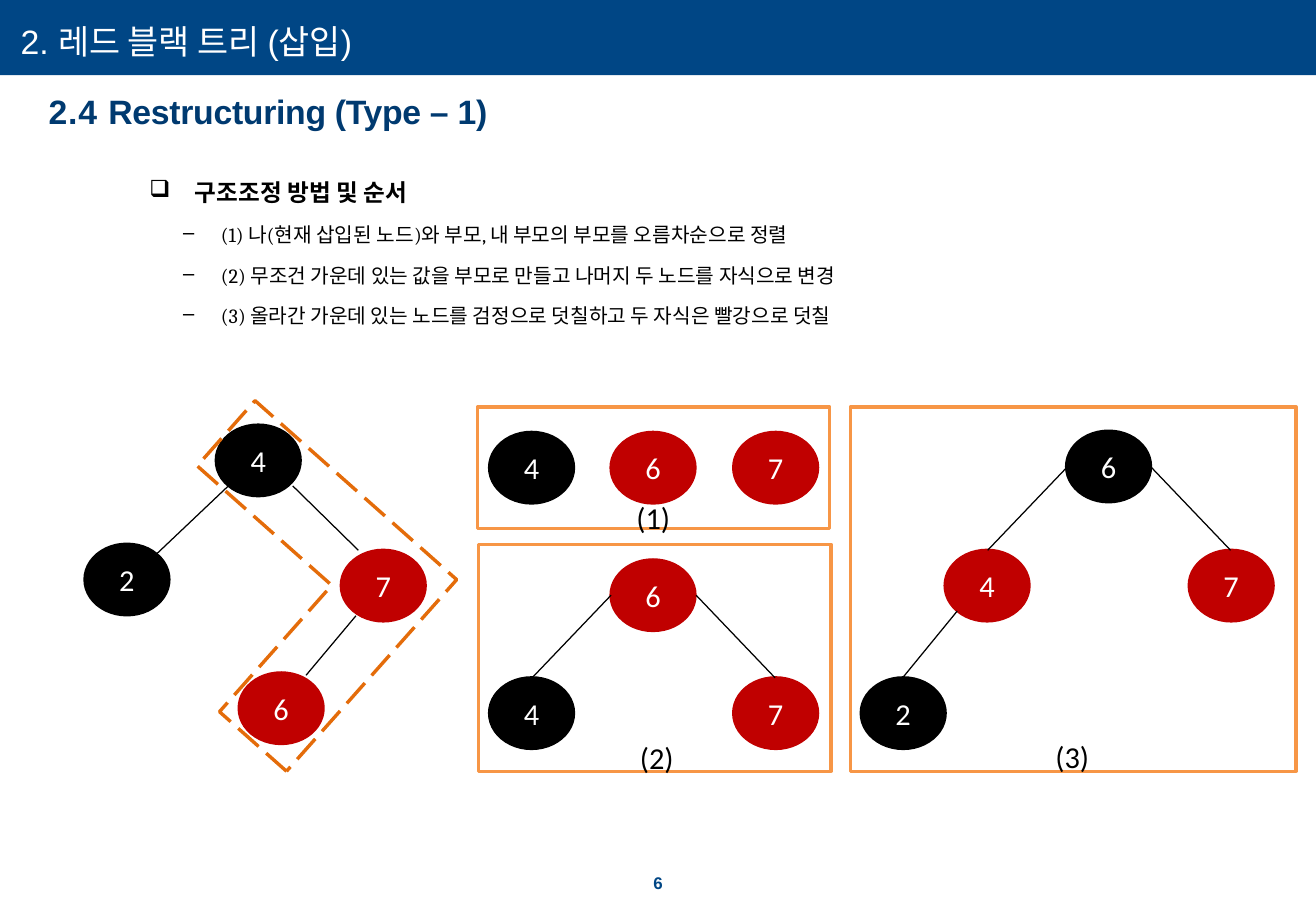
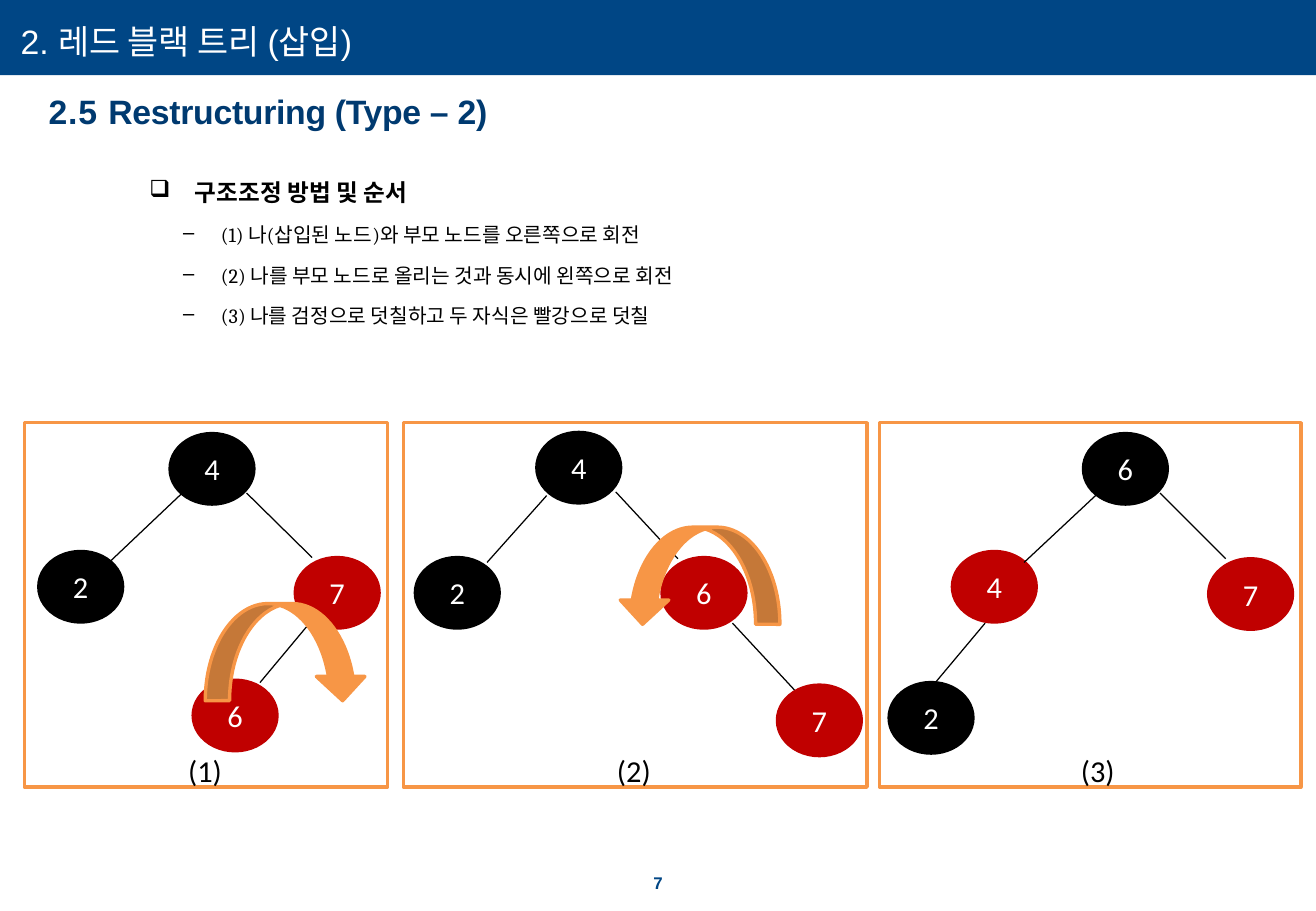
import pptx
import pptx.util
import pptx.dml.color
import pptx.enum.dml
import pptx.enum.shapes
import pptx.enum.text
import pptx.oxml.ns
import lxml.etree

Pt = pptx.util.Pt
PRESET = pptx.enum.shapes.MSO_SHAPE
COLORS = {"band": "004685", "title": "003A70", "white": "FFFFFF",
          "black": "000000", "red": "C00000", "frame": "F79646", "dash": "E46C0A"}
NODE_SIZE = (49.7, 41.8)
CAPTION_SIZE = (34.6, 28.8)
ARROW_SIZE = (95.8, 57.6)


def add_span(para, text, font, size, color, bold=False, spacing=0):
    span = para.add_run()
    span.text = text
    span.font.name = font
    span.font.size = Pt(size)
    span.font.bold = bold
    span.font.color.rgb = pptx.dml.color.RGBColor.from_string(COLORS[color])
    if spacing:
        span.font._element.set("spc", str(round(spacing * 100)))


def add_figure(page, preset, place, fill, line):
    figure = page.shapes.add_shape(preset, *map(Pt, place))
    figure.shadow.inherit = False
    if fill:
        figure.fill.solid()
        figure.fill.fore_color.rgb = pptx.dml.color.RGBColor.from_string(COLORS[fill])
    else:
        figure.fill.background()
    if line:
        figure.line.color.rgb = pptx.dml.color.RGBColor.from_string(COLORS[line])
        figure.line.width = Pt(2)
    else:
        figure.line.fill.background()
    return figure


# Content: nodes are (value, color, left, top), edges run from x, y to x, y
SLIDES = [
    {
        "number": "6", "section": "2.4 ", "title": "Restructuring (Type – 1)",
        "steps": ["(1) 나(현재 삽입된 노드)와 부모, 내 부모의 부모를 오름차순으로 정렬",
                  "(2) 무조건 가운데 있는 값을 부모로 만들고 나머지 두 노드를 자식으로 변경",
                  "(3) 올라간 가운데 있는 노드를 검정으로 덧칠하고 두 자식은 빨강으로 덧칠"],
        "nodes": [("4", "black", 128.2, 252), ("2", "black", 50.4, 322.6),
                  ("7", "red", 202.3, 326.2), ("6", "red", 141.8, 398.9),
                  ("4", "black", 290.2, 256.3), ("6", "red", 362.2, 256.3),
                  ("7", "red", 434.9, 256.3),
                  ("6", "red", 362.2, 331.9), ("4", "black", 290.2, 401.8),
                  ("7", "red", 434.9, 401.8),
                  ("6", "black", 632.2, 255.6), ("4", "red", 560.2, 326.2),
                  ("7", "red", 704.9, 326.2), ("2", "black", 510.5, 401.8)],
        "edges": [(135.4, 288, 92.9, 328.3), (211, 365, 181.4, 400.3),
                  (173.5, 288, 212.4, 326.2),
                  (315.4, 401.8, 362.2, 352.8), (459.4, 401.8, 412.6, 352.8),
                  (585.4, 326.2, 632.2, 277.2), (729.4, 326.2, 682.6, 277.2),
                  (535, 401.8, 567.4, 362.2)],
        "frames": [(283, 241.2, 208.8, 72), (283.7, 322.6, 208.8, 134.6),
                   (504, 241.2, 264.2, 216)],
        "captions": [(370.1, 292.3), (372.2, 434.9), (618.5, 434.2)],
        "outlines": [(80.6, 271.4, 159.8, 151.9)],
        "arrows": [],
    },
    {
        "number": "7", "section": "2.5 ", "title": "Restructuring (Type – 2)",
        "steps": ["(1) 나(삽입된 노드)와 부모 노드를 오른쪽으로 회전",
                  "(2) 나를 부모 노드로 올리는 것과 동시에 왼쪽으로 회전",
                  "(3) 나를 검정으로 덧칠하고 두 자식은 빨강으로 덧칠"],
        "nodes": [("4", "black", 100.8, 257), ("2", "black", 23, 326.9),
                  ("7", "red", 175, 330.5), ("6", "red", 114.5, 403.2),
                  ("4", "black", 318.2, 256.3), ("2", "black", 246.2, 330.5),
                  ("6", "red", 392.4, 330.5), ("7", "red", 460.8, 406.1),
                  ("6", "black", 642.2, 257), ("4", "red", 564.5, 326.9),
                  ("7", "red", 716.4, 331.2), ("2", "black", 527, 404.6)],
        "edges": [(108, 292.3, 65.5, 332.6), (182.9, 370.1, 154.1, 404.6),
                  (146.2, 292.3, 185, 330.5),
                  (324, 293.8, 288.7, 333.4), (365, 291.6, 401.8, 331.2),
                  (434.2, 369.4, 470.9, 409),
                  (650.2, 293, 607, 333.4), (583.9, 369.4, 554.4, 404.6),
                  (687.6, 292.3, 726.5, 331.2)],
        "frames": [(14.4, 250.6, 215.3, 216), (239, 250.6, 275, 216),
                   (521.3, 250.6, 249.8, 216)],
        "captions": [(104.4, 442.1), (358.6, 442.1), (633.6, 442.1)],
        "outlines": [],
        "arrows": [(121.7, 357.8, False), (366.5, 312.5, True)],
    },
]

deck = pptx.Presentation()
deck.slide_width, deck.slide_height = Pt(780), Pt(540)

for content in SLIDES:
    page = deck.slides.add_slide(deck.slide_layouts[6])

    # Band, heading, title and page number
    add_figure(page, PRESET.RECTANGLE, (0, 0, 780, 44.6), "band", None)
    labels = [
        ((382.3, 518.4, 15.8, 10.8), 5, [(content["number"], "Arial", 10, "band", True, 0.5)]),
        ((11.5, 12.2, 386.6, 24.5), 0.7, [("2. 레드 블랙 트리 (삽입)", "Arial", 20, "white")]),
        ((28.1, 54, 475.9, 24.5), 0.7, [(content["section"], "Arial", 20, "title", True, 0.5),
                                        (content["title"], "Arial", 20, "title", True, -0.2)]),
    ]
    for place, indent, spans in labels:
        box = page.shapes.add_textbox(*map(Pt, place))
        frame = box.text_frame
        frame.word_wrap = True
        frame.margin_left = frame.margin_right = frame.margin_top = frame.margin_bottom = 0
        para = frame.paragraphs[0]
        para._p.get_or_add_pPr().set("marL", str(Pt(indent)))
        if spans[0][2] == 10:
            para.line_spacing = Pt(10.9)
        for span in spans:
            add_span(para, *span)

    # Bulleted steps
    box = page.shapes.add_textbox(Pt(81.4), Pt(93.6), Pt(656.6), Pt(145.4))
    box.text_frame.word_wrap = True
    lines = [("구조조정 방법 및 순서", 0, 14, "❑", 27, -27)]
    lines += [(step, 1, 12, "–", 42.5, -22.5) for step in content["steps"]]
    for index, (text, level, size, bullet, margin, indent) in enumerate(lines):
        para = box.text_frame.add_paragraph() if index else box.text_frame.paragraphs[0]
        para.level = level
        para.line_spacing = 1.5
        para.space_before = Pt(size * 0.2)
        properties = para._p.get_or_add_pPr()
        properties.set("marL", str(Pt(margin)))
        properties.set("indent", str(Pt(indent)))
        mark = lxml.etree.SubElement(properties, pptx.oxml.ns.qn("a:buChar"))
        mark.set("char", bullet)
        add_span(para, text, "Cambria", size, "black", bold=level == 0)

    # Tree nodes
    for value, color, left, top in content["nodes"]:
        node = add_figure(page, PRESET.OVAL, (left, top, *NODE_SIZE), color, color)
        node.text_frame.vertical_anchor = pptx.enum.text.MSO_ANCHOR.MIDDLE
        para = node.text_frame.paragraphs[0]
        para.alignment = pptx.enum.text.PP_ALIGN.CENTER
        add_span(para, value, "Calibri", 18, "white")

    # Tree edges
    for ends in content["edges"]:
        edge = page.shapes.add_connector(pptx.enum.shapes.MSO_CONNECTOR.STRAIGHT, *map(Pt, ends))
        edge.line.color.rgb = pptx.dml.color.RGBColor.from_string(COLORS["black"])
        edge.line.width = Pt(0.75)
        lxml.etree.SubElement(edge._element.spPr, pptx.oxml.ns.qn("a:effectLst"))

    # Dashed outline around the nodes to restructure
    for place in content["outlines"]:
        outline = add_figure(page, PRESET.CORNER, place, None, "dash")
        outline.adjustments[0] = 0.34
        outline.adjustments[1] = 0.35
        outline.rotation = 221.6
        outline.line.dash_style = pptx.enum.dml.MSO_LINE.LONG_DASH

    # Rotation arrows
    for left, top, flipped in content["arrows"]:
        arrow = add_figure(page, PRESET.CURVED_DOWN_ARROW, (left, top, *ARROW_SIZE),
                           "frame", "frame")
        if flipped:
            arrow._element.spPr.xfrm.set("flipH", "1")

    # Step frames and their captions
    for place in content["frames"]:
        add_figure(page, PRESET.RECTANGLE, place, None, "frame")
    for step, place in enumerate(content["captions"], 1):
        box = page.shapes.add_textbox(*map(Pt, place + CAPTION_SIZE))
        box.text_frame.word_wrap = False
        add_span(box.text_frame.paragraphs[0], f"({step})", "Calibri", 18, "black")

deck.save("out.pptx")
